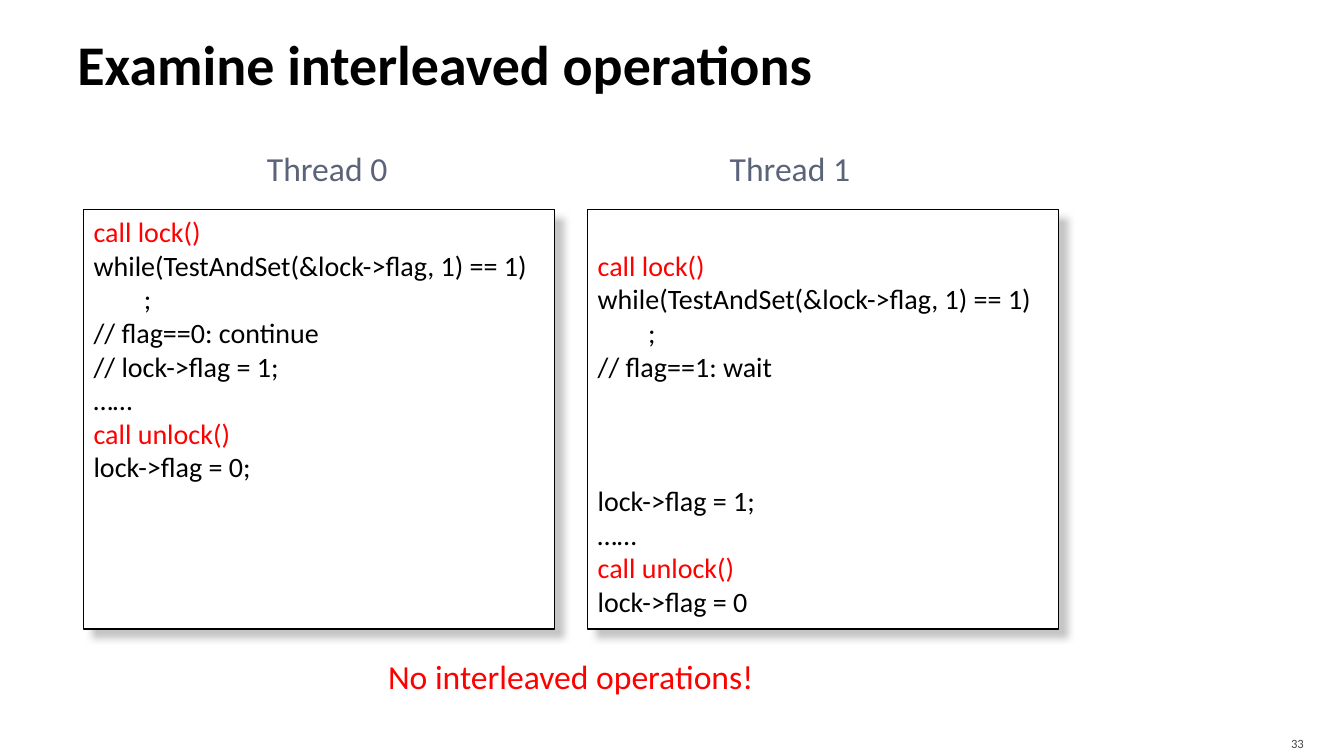
from dataclasses import dataclass

from lxml import etree
from pptx import Presentation
from pptx import util as u
from pptx.dml.color import RGBColor
from pptx.enum import shapes, text
from pptx.oxml import ns

BLACK = RGBColor(0x00, 0x00, 0x00)
WHITE = RGBColor(0xFF, 0xFF, 0xFF)
RED = RGBColor(0xFF, 0x00, 0x00)
SLATE = RGBColor(0x5A, 0x63, 0x78)
GREY = RGBColor(0x45, 0x45, 0x45)
SHADOW = RGBColor(0xB2, 0xB2, 0xB2)

FONT = "Calibri"
LINE_PITCH = 24  # points per line of 20 pt code
CODE_TOP, CODE_WIDTH, CODE_HEIGHT = 2.08, 4.67, 4.16
LEFT, TOP, WIDTH, HEIGHT = range(4)


@dataclass(frozen=True)
class CodeLine:
    words: str
    color: RGBColor = BLACK
    lines_skipped: int = 0


@dataclass(frozen=True)
class Thread:
    name: str
    name_left: float
    left: float
    first_line: int
    code: tuple[CodeLine, ...]


THREADS = (
    Thread("Thread 0", 2.33, 0.83, 0, (
        CodeLine("call lock()", RED),
        CodeLine("while(TestAndSet(&lock->flag, 1) == 1)"),
        CodeLine("\t;"),
        CodeLine("// flag==0: continue"),
        CodeLine("// lock->flag = 1;"),
        CodeLine("……"),
        CodeLine("call unlock()", RED),
        CodeLine("lock->flag = 0;"),
    )),
    Thread("Thread 1", 6.92, 5.83, 1, (
        CodeLine("call lock()", RED),
        CodeLine("while(TestAndSet(&lock->flag, 1) == 1)"),
        CodeLine("\t;"),
        CodeLine("// flag==1: wait"),
        CodeLine("lock->flag = 1;", lines_skipped=3),
        CodeLine("……"),
        CodeLine("call unlock()", RED),
        CodeLine("lock->flag = 0"),
    )),
)


def write(para, words: str, *, size: float, color: RGBColor = BLACK,
          bold: bool = False, align=text.PP_ALIGN.LEFT) -> None:
    """Put formatted text into a paragraph."""
    para.alignment = align
    span = para.add_run()
    span.text = words
    span.font.name = FONT
    span.font.size = u.Pt(size)
    span.font.bold = bold
    span.font.color.rgb = color


def add_label(page, place: tuple[float, ...], words: str, *,
              anchor=text.MSO_ANCHOR.TOP, bottom: float = 0.05, **style) -> None:
    box = page.shapes.add_textbox(*(u.Inches(length) for length in place))
    frame = box.text_frame
    frame.word_wrap = True
    frame.vertical_anchor = anchor
    frame.margin_bottom = u.Inches(bottom)
    write(frame.paragraphs[0], words, **style)


def add_drop_shadow(box) -> None:
    box.shadow.inherit = False
    effects = box._element.spPr.find(ns.qn("a:effectLst"))
    shadow = etree.SubElement(
        effects, ns.qn("a:outerShdw"), blurRad=str(u.Pt(5)),
        dist=str(u.Pt(8.5)), dir=str(45 * 60000), algn="tl", rotWithShape="0")
    color = etree.SubElement(shadow, ns.qn("a:srgbClr"), val=str(SHADOW))
    etree.SubElement(color, ns.qn("a:alpha"), val="75000")


def add_thread(page, thread: Thread) -> None:
    add_label(page, (thread.name_left, 1.42, 1.83, 0.51), thread.name,
              size=24, color=SLATE, align=text.PP_ALIGN.CENTER)
    box = page.shapes.add_shape(
        shapes.MSO_SHAPE.RECTANGLE, u.Inches(thread.left), u.Inches(CODE_TOP),
        u.Inches(CODE_WIDTH), u.Inches(CODE_HEIGHT))
    box.fill.solid()
    box.fill.fore_color.rgb = WHITE
    box.line.color.rgb = BLACK
    box.line.width = u.Pt(1)
    add_drop_shadow(box)

    # The top margin delays the first step of the later thread
    frame = box.text_frame
    frame.word_wrap = True
    frame.vertical_anchor = text.MSO_ANCHOR.TOP
    frame.margin_top = u.Inches(0.05) + u.Pt(thread.first_line * LINE_PITCH)
    for index, line in enumerate(thread.code):
        para = frame.add_paragraph() if index else frame.paragraphs[0]
        if line.lines_skipped:
            para.space_before = u.Pt(line.lines_skipped * LINE_PITCH)
        write(para, line.words, size=20, color=line.color)


def main() -> None:
    deck = Presentation()
    deck.slide_width, deck.slide_height = u.Inches(13.33), u.Inches(7.5)
    page = deck.slides.add_slide(deck.slide_layouts[6])

    # Title and slide number
    add_label(page, (0.67, 0.17, 12, 0.92), "Examine interleaved operations",
              size=40, bold=True, anchor=text.MSO_ANCHOR.MIDDLE)
    add_label(page, (11.96, 7.2, 1.07, 0.3), "33", size=9, color=GREY, bottom=0,
              align=text.PP_ALIGN.RIGHT, anchor=text.MSO_ANCHOR.MIDDLE)

    # Threads side by side
    for thread in THREADS:
        add_thread(page, thread)

    # Conclusion
    add_label(page, (3.75, 6.46, 3.99, 0.5), "No interleaved operations!",
              size=24, color=RED)

    deck.save("out.pptx")


if __name__ == "__main__":
    main()
